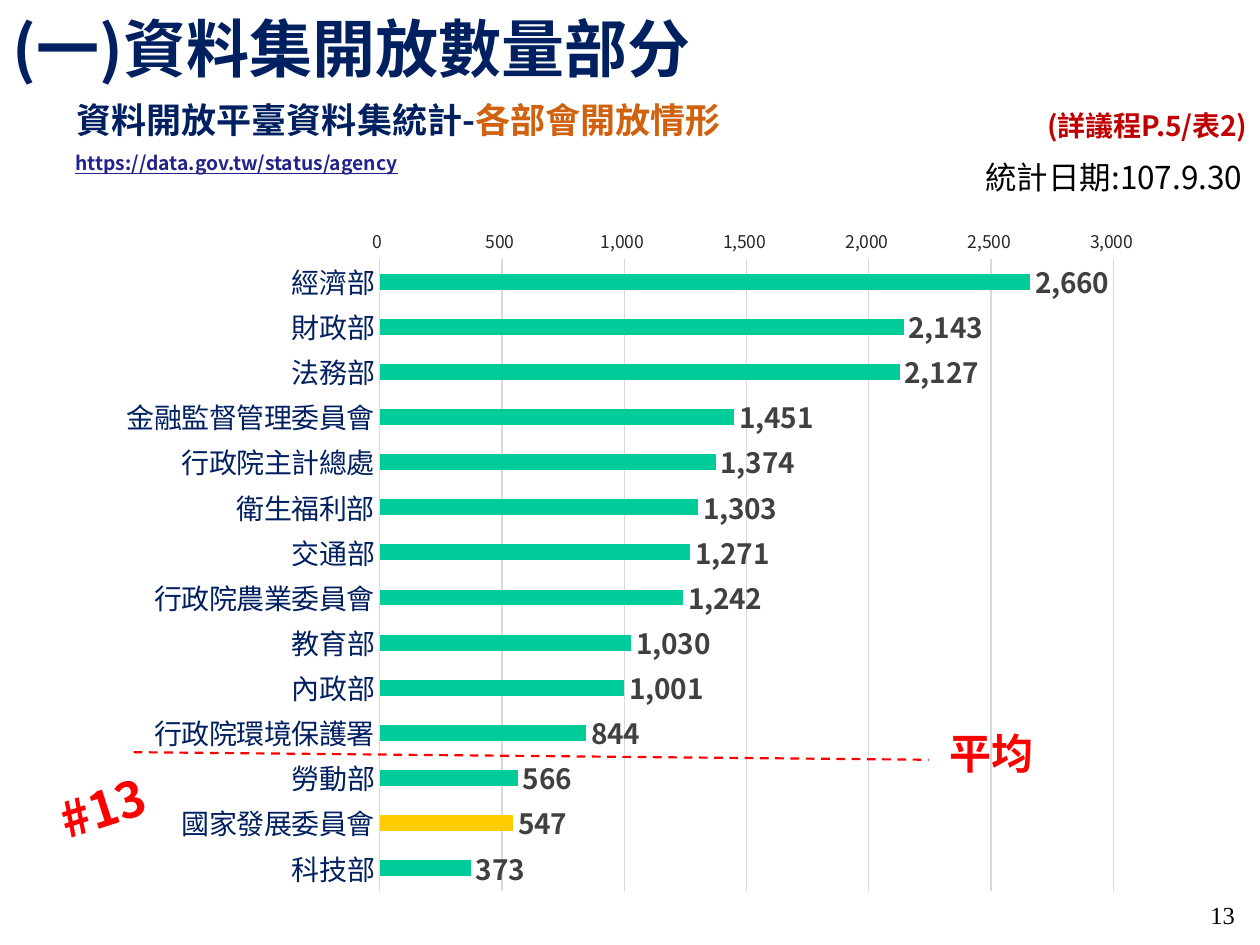
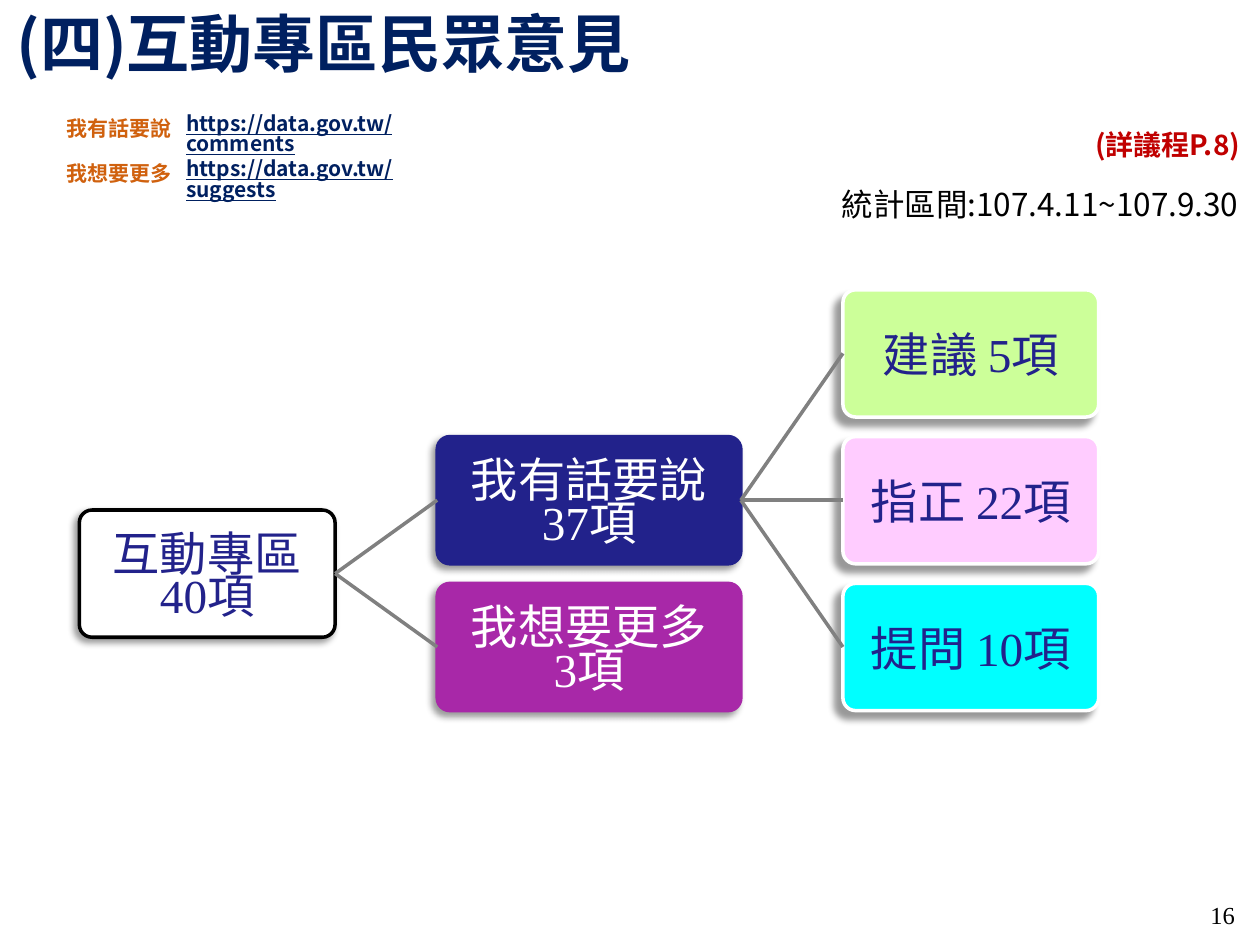
from copy import deepcopy
from lxml import etree
from pptx import Presentation
from pptx import util as u
from pptx.chart.data import CategoryChartData
from pptx.dml.color import RGBColor
from pptx.enum import chart as ch, dml, shapes, text
from pptx.oxml import parse_xml
from pptx.oxml.ns import nsdecls, qn

SC, TC, TIMES = "Noto Sans CJK SC", "Noto Sans CJK TC", "Times New Roman"
NAVY, ORANGE, CRIMSON, RED = "002060", "D0610E", "C00000", "FF0000"
INDIGO, PURPLE, WHITE, BLACK = "22228B", "A828A8", "FFFFFF", "000000"
GRID, GREEN, GOLD = "D9D9D9", "00CC99", "FFCC00"
LEFT, RIGHT, CENTER = text.PP_ALIGN.LEFT, text.PP_ALIGN.RIGHT, text.PP_ALIGN.CENTER

DATASETS = [
    ("經濟部", 2660), ("財政部", 2143), ("法務部", 2127),
    ("金融監督管理委員會", 1451), ("行政院主計總處", 1374),
    ("衛生福利部", 1303), ("交通部", 1271), ("行政院農業委員會", 1242),
    ("教育部", 1030), ("內政部", 1001), ("行政院環境保護署", 844),
    ("勞動部", 566), ("國家發展委員會", 547), ("科技部", 373),
]
HIGHLIGHT = "國家發展委員會"
NUMBER_FORMAT = "#,##0_ "

FORUM_LINKS = [
    ("我有話要說", "https://data.gov.tw/comments"),
    ("我想要更多", "https://data.gov.tw/suggests"),
]
COLUMNS = [(0.63, 2.03), (3.47, 2.41), (6.69, 2.03)]
ROW_TOP, ROW_STEP, BOX_HEIGHT = 2.3, 1.165, 1.01
TREE = {
    "zone": dict(label="互動專區\v", count="40", column=0, row=1.5,
                 fill=WHITE, line=BLACK, color=INDIGO, depth=3, parent=None),
    "say": dict(label="我有話要說\v", count="37", column=1, row=1,
                fill=INDIGO, line=INDIGO, color=WHITE, depth=3, parent="zone"),
    "more": dict(label="我想要更多\v", count="3", column=1, row=2,
                 fill=PURPLE, line=PURPLE, color=WHITE, depth=3, parent="zone"),
    "advice": dict(label="建議 ", count="5", column=2, row=0,
                   fill="CCFF99", line=WHITE, color=INDIGO, depth=6, parent="say"),
    "correction": dict(label="指正 ", count="22", column=2, row=1,
                       fill="FFCCFF", line=WHITE, color=INDIGO, depth=6, parent="say"),
    "question": dict(label="提問 ", count="10", column=2, row=2,
                     fill="00FFFF", line=WHITE, color=INDIGO, depth=6, parent="say"),
}


def rgb(value):
    return RGBColor.from_string(value)


def inches(*lengths):
    return [u.Inches(length) for length in lengths]


def style_font(font, size, color, face=SC, bold=False, underline=False):
    font.size, font.name = u.Pt(size), face
    font.bold, font.underline = bold, underline
    font.color.rgb = rgb(color)


def write(shape, runs, size, color=BLACK, face=SC, bold=False, underline=False,
          align=LEFT, spacing=0.9, anchor=text.MSO_ANCHOR.TOP):
    frame = shape.text_frame
    frame.word_wrap = True
    frame.auto_size = text.MSO_AUTO_SIZE.NONE
    frame.vertical_anchor = anchor
    paragraph = frame.paragraphs[0]
    paragraph.alignment, paragraph.line_spacing = align, spacing
    for words, changes in [(runs, {})] if isinstance(runs, str) else runs:
        if words.endswith("\v"):
            run = paragraph.add_run()
            run.text = words[:-1]
            paragraph.add_line_break()
        else:
            run = paragraph.add_run()
            run.text = words
        style_font(run.font, **{**dict(size=size, color=color, face=face, bold=bold,
                                       underline=underline), **changes})


def add_text(slide, runs, box, rotation=0, **style):
    label = slide.shapes.add_textbox(*inches(*box))
    label.rotation = rotation
    write(label, runs, **style)


def add_east_asian(element):
    for latin in list(element.iter(qn("a:latin"))):
        east = deepcopy(latin)
        east.tag = qn("a:ea")
        latin.addnext(east)


def add_slide(deck, heading, heading_box, page, reference, reference_box, period, period_box):
    slide = deck.slides.add_slide(deck.slide_layouts[5])
    title = slide.shapes.title
    title.left, title.top, title.width, title.height = inches(*heading_box)
    write(title, heading, size=36, color=NAVY, bold=True)
    add_text(slide, page, (9.13, 7.09, 0.77, 0.24), size=14, face=TIMES,
             align=RIGHT, spacing=1)
    add_text(slide, reference, reference_box, size=16, color=CRIMSON, bold=True, align=RIGHT)
    add_text(slide, period, period_box, size=18, align=RIGHT)
    return slide


def add_dataset_chart(slide):
    data = CategoryChartData()
    data.categories = [agency for agency, _ in DATASETS]
    data.add_series("Series 1", [count for _, count in DATASETS])
    chart = slide.shapes.add_chart(ch.XL_CHART_TYPE.BAR_CLUSTERED,
                                   *inches(0.85, 1.73, 8.32, 5.45), data).chart
    chart.has_legend = chart.has_title = False
    style_font(chart.font, 10, BLACK, TC)

    agencies, counts = chart.category_axis, chart.value_axis
    for axis in (agencies, counts):
        axis.major_tick_mark = axis.minor_tick_mark = ch.XL_TICK_MARK.NONE
    agencies.reverse_order = True
    agencies.format.line.color.rgb = rgb(GRID)
    agencies.format.line.width = u.Pt(0.75)
    style_font(agencies.tick_labels.font, 16, NAVY)
    counts.minimum_scale, counts.maximum_scale, counts.major_unit = 0, 3000, 500
    counts.format.line.fill.background()
    counts.major_gridlines.format.line.color.rgb = rgb(GRID)
    counts.major_gridlines.format.line.width = u.Pt(0.75)
    style_font(counts.tick_labels.font, 10, "262626", TC)

    plot = chart.plots[0]
    plot.gap_width, plot.vary_by_categories = 182, False
    bars = plot.series[0]
    bars.format.fill.solid()
    bars.format.fill.fore_color.rgb = rgb(GREEN)
    highlighted = bars.points[[agency for agency, _ in DATASETS].index(HIGHLIGHT)]
    highlighted.format.fill.solid()
    highlighted.format.fill.fore_color.rgb = rgb(GOLD)
    values = bars.data_labels
    values.show_value = True
    values.position = ch.XL_LABEL_POSITION.OUTSIDE_END
    style_font(values.font, 16, "404040", TC, bold=True)
    for numbers in (counts.tick_labels, values):
        numbers.number_format, numbers.number_format_is_linked = NUMBER_FORMAT, False

    area = chart.element.find(".//" + qn("c:plotArea"))
    for layout in area.findall(qn("c:layout")):
        area.remove(layout)
    sides = "".join(f'<c:{side} val="{share}"/>' for side, share in
                    dict(x=0.26, y=0.06, w=0.7, h=0.92).items())
    area.insert(0, parse_xml(
        f'<c:layout {nsdecls("c")}><c:manualLayout><c:layoutTarget val="inner"/>'
        f'<c:xMode val="edge"/><c:yMode val="edge"/>{sides}</c:manualLayout></c:layout>'))
    add_east_asian(chart.element)


def add_line(slide, color, width, start=(0, 0), end=(0, 0)):
    line = slide.shapes.add_connector(shapes.MSO_CONNECTOR.STRAIGHT, *inches(*start, *end))
    line.line.color.rgb, line.line.width = rgb(color), u.Pt(width)
    etree.SubElement(line.element.spPr, qn("a:effectLst"))
    return line


def add_tree_box(slide, label, count, column, row, fill, line, color, depth, parent):
    left, width = COLUMNS[column]
    box = slide.shapes.add_shape(shapes.MSO_SHAPE.ROUNDED_RECTANGLE,
                                 *inches(left, ROW_TOP + row * ROW_STEP, width, BOX_HEIGHT))
    box.adjustments[0] = 0.1
    box.fill.solid()
    box.fill.fore_color.rgb = rgb(fill)
    box.line.color.rgb, box.line.width = rgb(line), u.Pt(2)
    box.shadow.inherit = False
    box.element.spPr.find(qn("a:effectLst")).append(parse_xml(
        f'<a:outerShdw {nsdecls("a")} blurRad="{u.Pt(4)}" dist="{u.Pt(depth)}" '
        f'dir="8100000" algn="ctr" rotWithShape="0"><a:srgbClr val="{BLACK}">'
        '<a:alpha val="40000"/></a:srgbClr></a:outerShdw>'))
    frame = box.text_frame
    frame.margin_left = frame.margin_right = u.Inches(0.05)
    frame.margin_top, frame.margin_bottom = inches(0.12, 0.02)
    write(box, [(label, {}), (count, dict(face=TIMES)), ("項", {})], size=27, color=color,
          align=CENTER, spacing=0.75, anchor=text.MSO_ANCHOR.MIDDLE)
    return box


def build_datasets(deck):
    slide = add_slide(deck, "(一)資料集開放數量部分", (0, 0.09, 6.5, 0.75), "13",
                      "(詳議程P.5/表2)", (7.9, 0.84, 2.1, 0.46),
                      "統計日期:107.9.30", (7.4, 1.24, 2.56, 0.4))
    add_dataset_chart(slide)
    add_text(slide, "#13", (0.39, 6.17, 0.92, 0.57), rotation=342.1,
             size=28, color=RED, bold=True)
    average = add_line(slide, RED, 1.25, (1.06, 5.97), (7.37, 6.03))
    average.line.dash_style = dml.MSO_LINE.DASH
    add_text(slide, "平均", (7.44, 5.77, 2.05, 0.5), size=24, color=RED, bold=True)
    add_text(slide, "https://data.gov.tw/status/agency", (0.5, 1.17, 7.45, 0.29),
             size=11, color=INDIGO, face=TC, bold=True, underline=True)
    add_text(slide, [("資料開放平臺資料集統計-", {}), ("各部會開放情形", dict(color=ORANGE))],
             (0.51, 0.77, 5.8, 0.47), size=20, color=NAVY, bold=True)
    add_east_asian(slide.element)


def build_forum(deck):
    slide = add_slide(deck, "(四)互動專區民眾意見", (0.03, 0.05, 9, 0.84), "16",
                      "(詳議程P.8)", (8.39, 0.99, 1.55, 0.46),
                      "統計區間:107.4.11~107.9.30", (6.23, 1.45, 3.7, 0.4))
    for index, (topic, address) in enumerate(FORUM_LINKS):
        offset = 0.36 * index
        add_text(slide, topic, (0.43, 0.89 + offset, 1.1, 0.3),
                 size=12, color=ORANGE, face=TC, bold=True)
        add_text(slide, address, (1.38, 0.86 + offset, 2.07, 0.3), size=12, color=NAVY,
                 face=TC, bold=True, underline=True, spacing=0.82)
    boxes = {}
    for key, node in TREE.items():
        boxes[key] = add_tree_box(slide, **node)
        if node["parent"]:
            branch = add_line(slide, "808080", 2)
            branch.begin_connect(boxes[node["parent"]], 3)
            branch.end_connect(boxes[key], 1)
    add_east_asian(slide.element)


def main():
    deck = Presentation()
    deck.slide_width, deck.slide_height = inches(10, 7.5)
    build_datasets(deck)
    build_forum(deck)
    deck.save("out.pptx")


if __name__ == "__main__":
    main()
